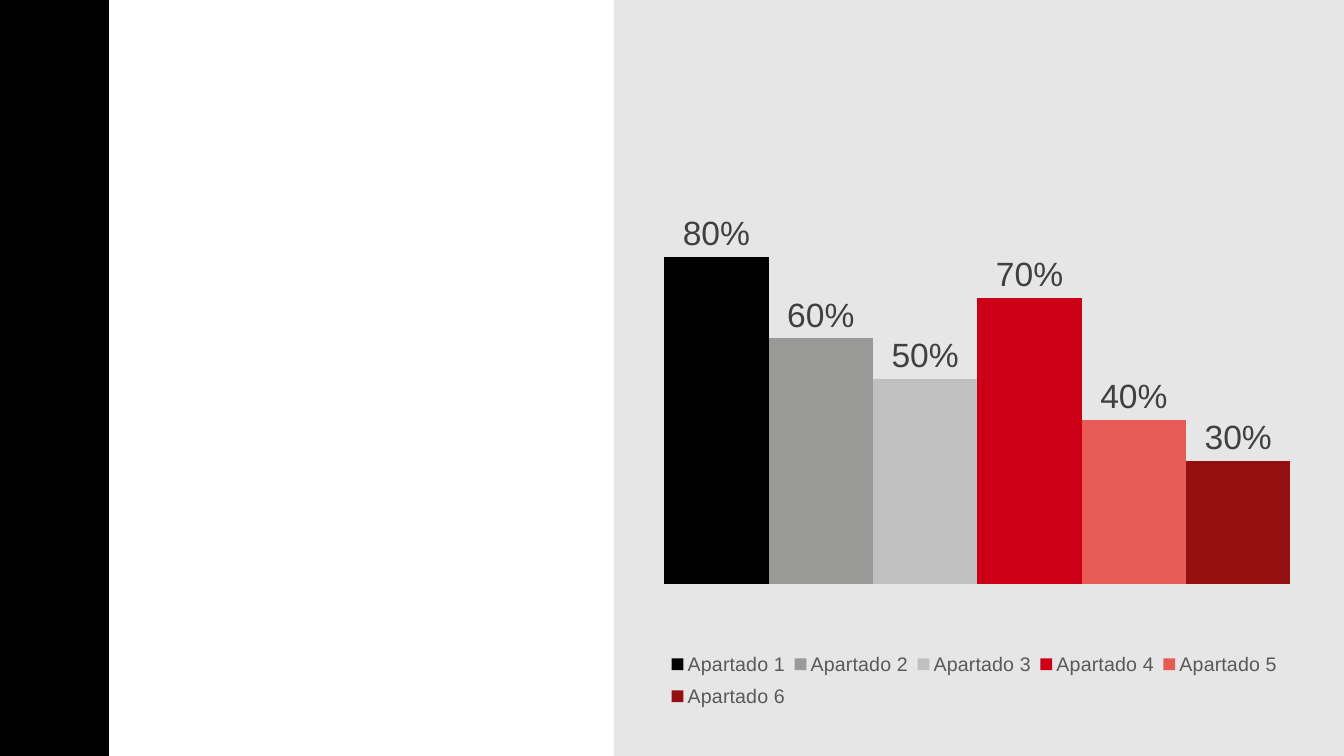
import pptx
import pptx.chart.data
import pptx.dml.color
import pptx.enum.chart
import pptx.enum.shapes
import pptx.oxml
import pptx.oxml.ns
import pptx.util
from pptx.util import Cm

FONT = "Arial"
SLIDE_WIDTH = Cm(33.87)
SLIDE_HEIGHT = Cm(19.05)
SECTIONS = [
    ("Apartado 1", 0.8, "000000"),
    ("Apartado 2", 0.6, "999998"),
    ("Apartado 3", 0.5, "C0C0C0"),
    ("Apartado 4", 0.7, "CB0017"),
    ("Apartado 5", 0.4, "E65B56"),
    ("Apartado 6", 0.3, "941011"),
]


def color(hex_string):
    return pptx.dml.color.RGBColor.from_string(hex_string)


def style_font(font, size, hex_string):
    font.name = FONT
    font.size = pptx.util.Pt(size)
    font.color.rgb = color(hex_string)


def add_panel(slide, left, width, fill, line=None):
    panel = slide.shapes.add_shape(
        pptx.enum.shapes.MSO_SHAPE.RECTANGLE, left, 0, width, SLIDE_HEIGHT
    )
    panel.shadow.inherit = False
    panel.fill.solid()
    panel.fill.fore_color.rgb = color(fill)
    if line:
        panel.line.color.rgb = color(line)
        panel.line.width = pptx.util.Pt(1)
    else:
        panel.line.fill.background()


def place_in_chart(element, index, x, y, w, h, inner=False):
    for old_layout in element.xpath("c:layout"):
        element.remove(old_layout)
    target = '<c:layoutTarget val="inner"/>' if inner else ""
    sizes = "".join(
        f'<c:{name} val="{value}"/>' for name, value in zip("xywh", (x, y, w, h))
    )
    layout = pptx.oxml.parse_xml(
        f'<c:layout {pptx.oxml.ns.nsdecls("c")}><c:manualLayout>{target}'
        f'<c:xMode val="edge"/><c:yMode val="edge"/>{sizes}'
        "</c:manualLayout></c:layout>"
    )
    element.insert(index, layout)


def style_series(series, fill):
    series.format.fill.solid()
    series.format.fill.fore_color.rgb = color(fill)
    series.invert_if_negative = False
    labels = series.data_labels
    labels.show_value = True
    labels.number_format = "0%"
    labels.number_format_is_linked = False
    labels.position = pptx.enum.chart.XL_LABEL_POSITION.OUTSIDE_END
    style_font(labels.font, 24, "404040")


def add_section_chart(slide, left, top, width, height):
    chart_data = pptx.chart.data.CategoryChartData(number_format="0%")
    chart_data.categories = ["1"]
    for name, value, fill in SECTIONS:
        chart_data.add_series(name, [value])
    chart = slide.shapes.add_chart(
        pptx.enum.chart.XL_CHART_TYPE.COLUMN_CLUSTERED,
        left, top, width, height, chart_data,
    ).chart
    chart.has_title = False
    style_font(chart.font, 24, "000000")

    chart.category_axis.visible = False
    value_axis = chart.value_axis
    value_axis.visible = False
    value_axis.has_major_gridlines = False
    value_axis.minimum_scale = 0
    value_axis.maximum_scale = 0.9

    plot = chart.plots[0]
    plot.vary_by_categories = False
    plot.gap_width = 0
    plot.overlap = 0
    for series, (name, value, fill) in zip(plot.series, SECTIONS):
        style_series(series, fill)

    chart.has_legend = True
    chart.legend.position = pptx.enum.chart.XL_LEGEND_POSITION.BOTTOM
    chart.legend.include_in_layout = False
    style_font(chart.legend.font, 14, "595959")

    plot_area = chart.element.xpath("c:chart/c:plotArea")[0]
    legend = chart.element.xpath("c:chart/c:legend")[0]
    place_in_chart(plot_area, 0, 0.023, 0.232, 0.953, 0.549, inner=True)
    place_in_chart(legend, 1, 0.02, 0.87, 0.95, 0.11)


def main():
    presentation = pptx.Presentation()
    presentation.slide_width = SLIDE_WIDTH
    presentation.slide_height = SLIDE_HEIGHT
    slide = presentation.slides.add_slide(presentation.slide_layouts[6])
    panel_left = Cm(15.47)
    add_panel(slide, panel_left, SLIDE_WIDTH - panel_left, "E6E6E6")
    add_panel(slide, 0, Cm(2.74), "000000", line="000000")
    add_section_chart(slide, Cm(16.36), Cm(1.52), Cm(16.56), Cm(16.89))
    presentation.save("out.pptx")


if __name__ == "__main__":
    main()
